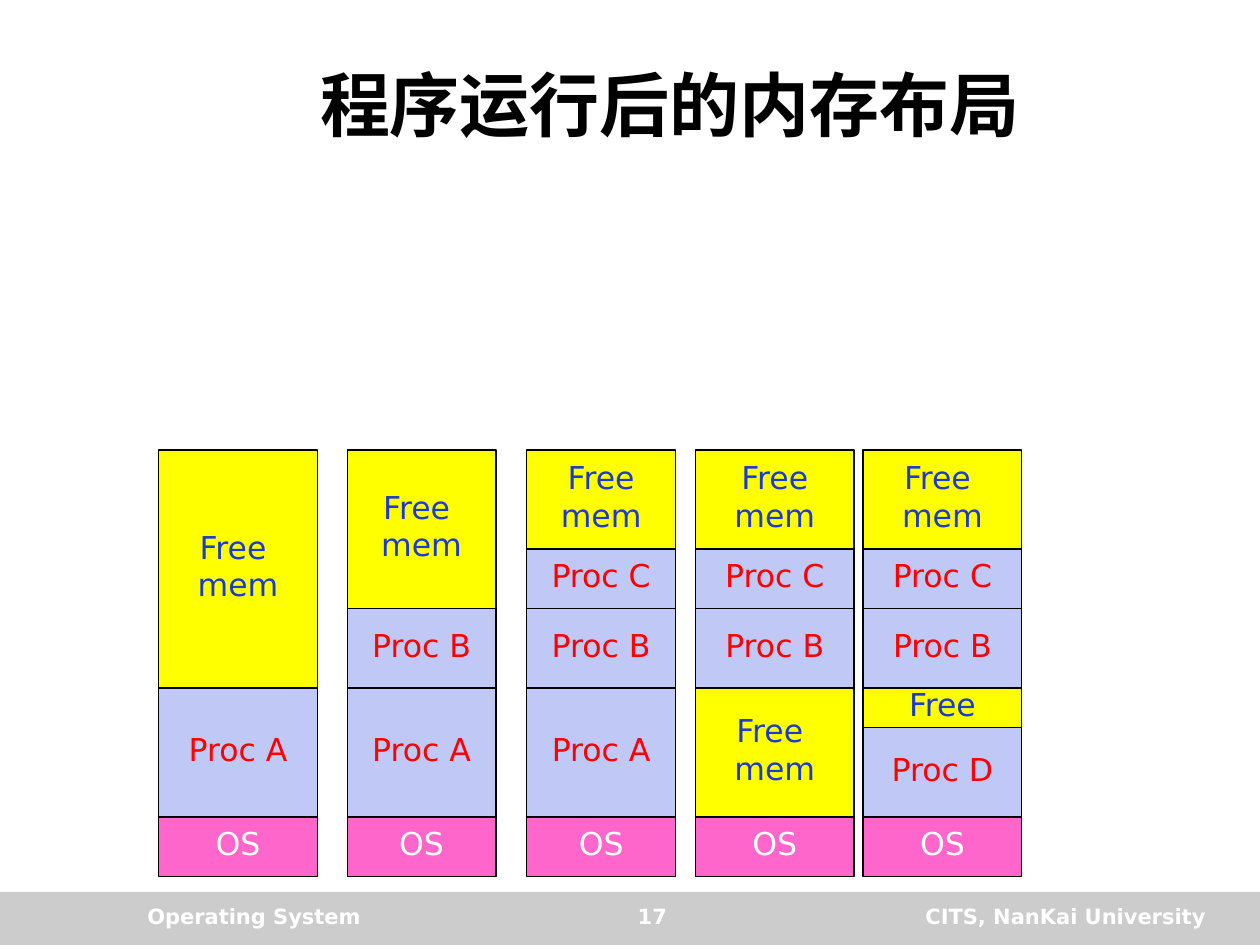
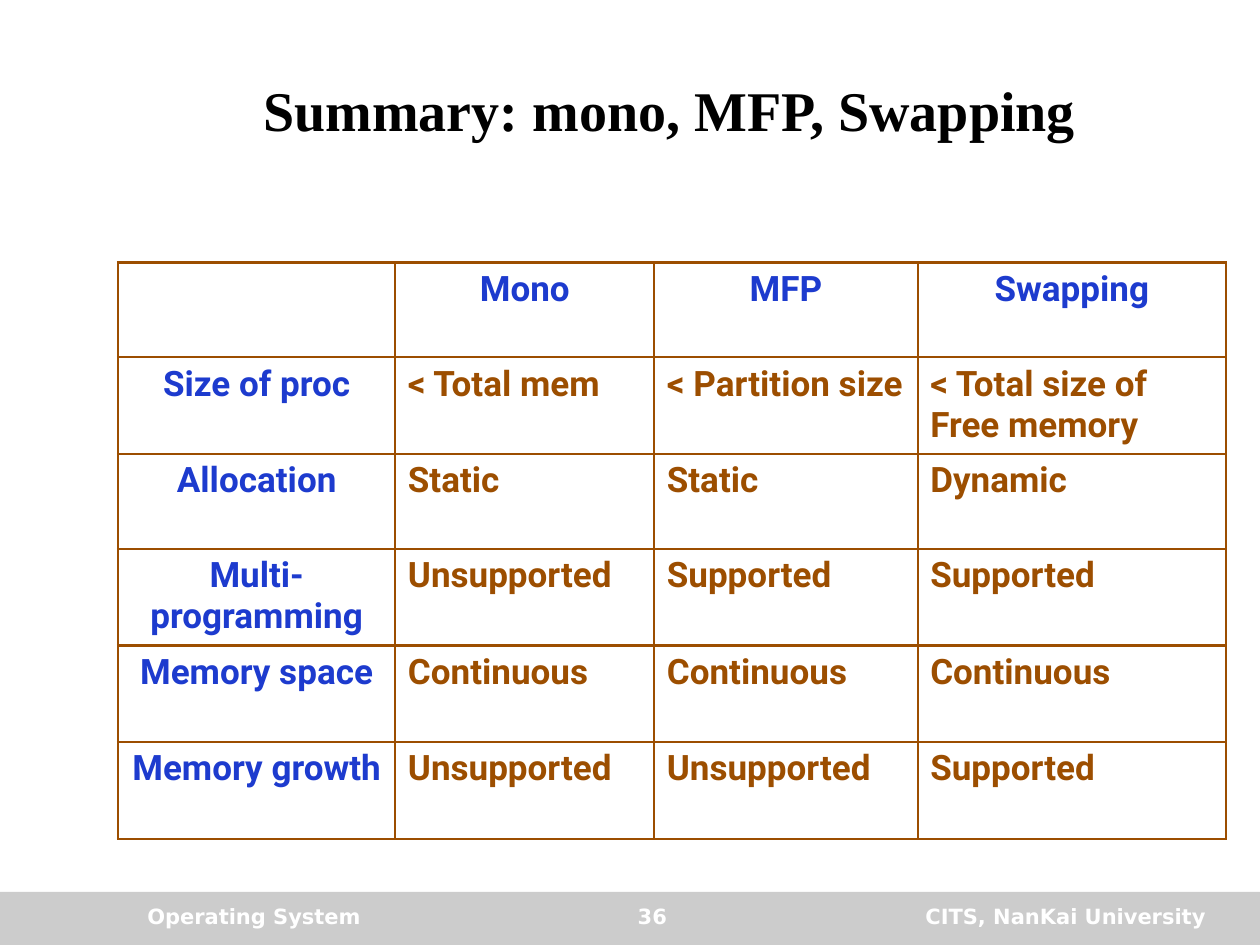
import lxml.etree
import pptx
import pptx.dml.color
import pptx.enum.shapes
import pptx.enum.text
import pptx.oxml.ns
import pptx.util

Cm = pptx.util.Cm
Pt = pptx.util.Pt
ALIGN = pptx.enum.text.PP_ALIGN
ANCHOR = pptx.enum.text.MSO_ANCHOR
RECTANGLE = pptx.enum.shapes.MSO_SHAPE.RECTANGLE

COLORS = {
    "black": "000000",
    "white": "FFFFFF",
    "band": "CCCCCC",
    "blue": "1D3BCE",
    "red": "FF0000",
    "brown": "9C4E00",
    "process": "C0C9F6",
    "system": "FF66CC",
    "free": "FFFF00",
}

MEMORY_STYLES = {"Free": ("free", "blue"), "Proc": ("process", "red"), "OS": ("system", "white")}

STACKS = [
    (3.2, 3.2, [("Free \nmem", 4.8), ("Proc A", 2.6), ("OS", 1.2)]),
    (7.0, 3.0, [("Free \nmem", 3.2), ("Proc B", 1.6), ("Proc A", 2.6), ("OS", 1.2)]),
    (10.62, 3.0, [("Free\nmem", 2.0), ("Proc C", 1.2), ("Proc B", 1.6), ("Proc A", 2.6), ("OS", 1.2)]),
    (14.02, 3.2, [("Free\nmem", 2.0), ("Proc C", 1.2), ("Proc B", 1.6), ("Free \nmem", 2.6), ("OS", 1.2)]),
    (17.4, 3.2, [("Free \nmem", 2.0), ("Proc C", 1.2), ("Proc B", 1.6), ("Free", 0.8), ("Proc D", 1.8),
                 ("OS", 1.2)]),
]

SUMMARY = [
    ["", "Mono", "MFP", "Swapping"],
    ["Size of proc", "< Total mem", "< Partition size", "< Total size of Free memory"],
    ["Allocation", "Static", "Static", "Dynamic"],
    ["Multi-programming", "Unsupported", "Supported", "Supported"],
    ["Memory space", "Continuous", "Continuous", "Continuous"],
    ["Memory growth", "Unsupported", "Unsupported", "Supported"],
]


def rgb(name):
    """Return the named palette colour."""
    return pptx.dml.color.RGBColor.from_string(COLORS[name])


def write(frame, text, size, font, color, bold=False, align=ALIGN.LEFT, before=0, spacing=None):
    """Fill a text frame, one paragraph per line, in a single style."""
    frame.text = text
    for para in frame.paragraphs:
        para.alignment = align
        para.space_before = Pt(before)
        para.line_spacing = spacing
        para.font.size = Pt(size)
        para.font.name = font
        para.font.bold = bold
        para.font.color.rgb = rgb(color)


def add_rectangle(shapes, box, fill):
    """Add a flat filled rectangle without an outline."""
    shape = shapes.add_shape(RECTANGLE, *map(Cm, box))
    shape.shadow.inherit = False
    shape.fill.solid()
    shape.fill.fore_color.rgb = rgb(fill)
    shape.line.fill.background()
    return shape


def add_text(page, box, text, **style):
    """Add a wrapping text box and return its frame."""
    frame = page.shapes.add_textbox(*map(Cm, box)).text_frame
    frame.word_wrap = True
    write(frame, text, **style)
    return frame


def add_title(page, box, text, size):
    """Add the centred bold slide title."""
    frame = add_text(page, box, text, size=size, font="Times New Roman", color="black",
                     bold=True, align=ALIGN.CENTER)
    frame.vertical_anchor = ANCHOR.MIDDLE


def add_footer(page, box, number):
    """Add the grey band with course, slide number and institution."""
    add_rectangle(page.shapes, box, "band")
    left, top = box[:2]
    for offset, width, text, align in [
        (2.72, 6.99, "Operating System", ALIGN.LEFT),
        (16.51, 8.05, "CITS, NanKai University", ALIGN.RIGHT),
        (10.19, 5.92, str(number), ALIGN.CENTER),
    ]:
        add_text(page, (left + offset, top + 0.1, width, 0.84), text, size=12,
                 font="DejaVu Sans", color="white", bold=True, align=align)


def add_page(deck, title, size, title_height, number):
    """Add a blank slide with the shared title and footer."""
    page = deck.slides.add_slide(deck.slide_layouts[6])
    add_footer(page, (0, 17.98, 25.4, 1.07), number)
    add_title(page, (2.69, 0.84, 21.62, title_height), title, size)
    return page


def add_memory_stack(page, left, top, width, blocks):
    """Stack labelled memory blocks downwards as one group."""
    group = page.shapes.add_group_shape()
    for label, height in blocks:
        fill, color = MEMORY_STYLES[label.split()[0]]
        block = add_rectangle(group.shapes, (left, top, width, height), fill)
        block.line.color.rgb = rgb("black")
        block.line.width = Pt(0.75)
        frame = block.text_frame
        frame.word_wrap = False
        frame.vertical_anchor = ANCHOR.MIDDLE
        write(frame, label, 18, "DejaVu Sans", color, align=ALIGN.CENTER, before=4, spacing=0.8)
        top += height


def set_borders(cell, color, width):
    """Draw all four borders of a table cell."""
    properties = cell._tc.get_or_add_tcPr()
    qn = pptx.oxml.ns.qn
    for index, side in enumerate(("a:lnL", "a:lnR", "a:lnT", "a:lnB")):
        line = lxml.etree.Element(qn(side), w=str(Pt(width)))
        fill = lxml.etree.SubElement(line, qn("a:solidFill"))
        lxml.etree.SubElement(fill, qn("a:srgbClr"), val=COLORS[color])
        properties.insert(index, line)


def add_summary_table(page, left, top, widths, heights):
    """Add the comparison table with blue headings and brown values."""
    box = map(Cm, (left, top, sum(widths), sum(heights)))
    table = page.shapes.add_table(len(heights), len(widths), *box).table
    table.first_row = table.horz_banding = False
    for column, width in zip(table.columns, widths):
        column.width = Cm(width)
    for row_index, (row, height) in enumerate(zip(table.rows, heights)):
        row.height = Cm(height)
        for column_index, cell in enumerate(row.cells):
            heading = row_index == 0 or column_index == 0
            cell.fill.background()
            set_borders(cell, "brown", 1.5)
            write(cell.text_frame, SUMMARY[row_index][column_index], 20, "Roboto",
                  "blue" if heading else "brown", bold=True,
                  align=ALIGN.CENTER if heading else ALIGN.LEFT, before=4)


def main():
    """Build and save the deck."""
    deck = pptx.Presentation()
    deck.slide_width, deck.slide_height = Cm(25.4), Cm(19.05)

    layout_page = add_page(deck, "程序运行后的内存布局", 40, 2.5, 17)
    for left, width, blocks in STACKS:
        add_memory_stack(layout_page, left, 9.07, width, blocks)

    summary_page = add_page(deck, "Summary: mono, MFP, Swapping", 32, 2.72, 36)
    add_summary_table(summary_page, 2.38, 5.29, (5.59, 5.22, 5.31, 6.22),
                      (1.91, 1.95, 1.91, 1.95, 1.95, 1.95))
    deck.save("out.pptx")


if __name__ == "__main__":
    main()
